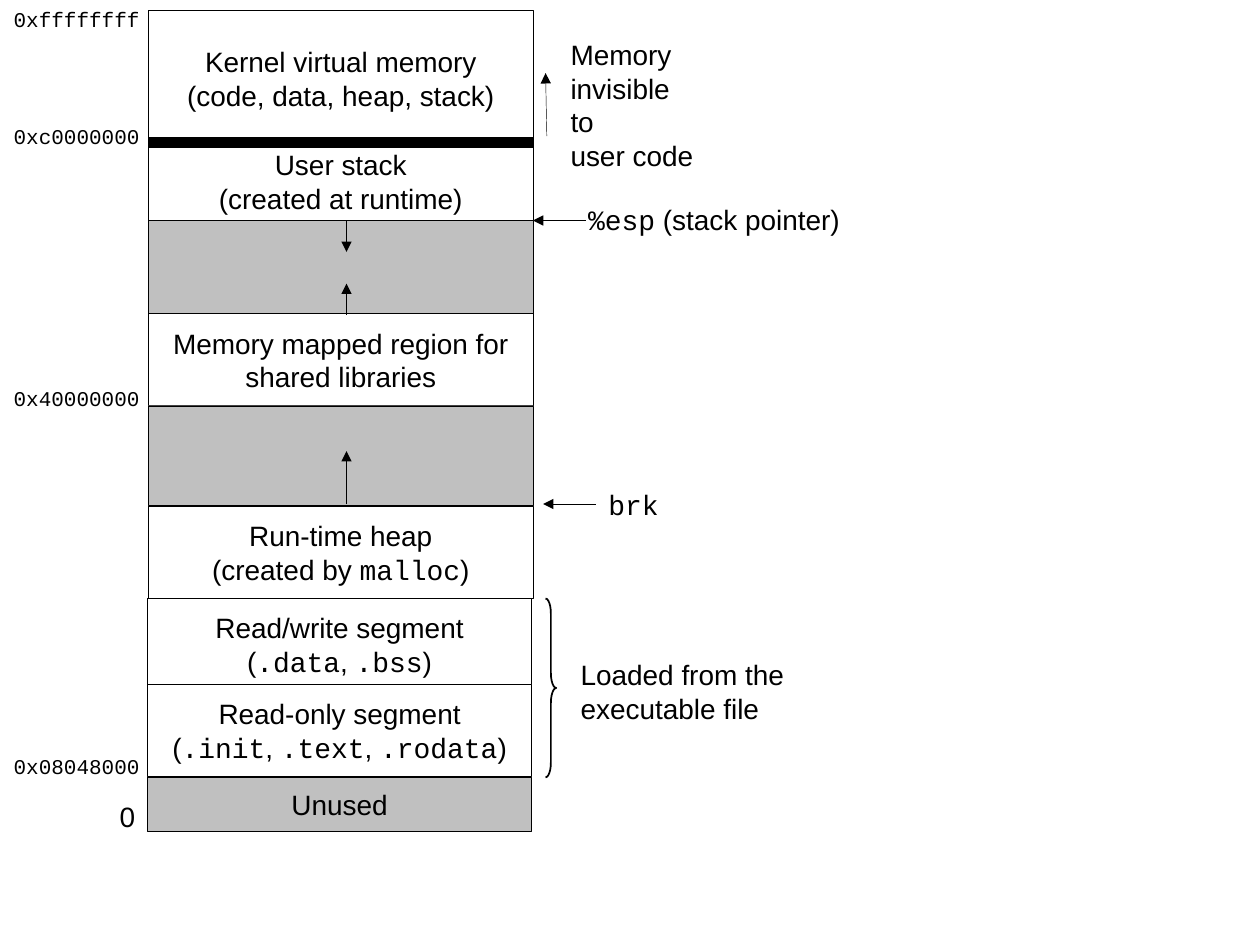
from dataclasses import dataclass

from lxml.etree import SubElement
from pptx import Presentation
from pptx.dml.color import RGBColor as Color
from pptx.enum.shapes import MSO_CONNECTOR as Connector, MSO_SHAPE as Shape
from pptx.enum.text import MSO_ANCHOR as Anchor, MSO_AUTO_SIZE as AutoSize, PP_ALIGN as Align
from pptx.oxml.ns import qn
from pptx.util import Inches, Pt

# The page is a grid of 100 columns by 75 rows
PAGE_WIDTH, PAGE_HEIGHT = Inches(10), Inches(7.5)
COLUMN, ROW = PAGE_WIDTH / 100, PAGE_HEIGHT / 75


@dataclass(frozen=True)
class Theme:
    ink: Color = Color(0, 0, 0)
    used: Color = Color(0xFF, 0xFF, 0xFF)
    free: Color = Color(0xC0, 0xC0, 0xC0)
    text_font: str = "Arial"
    code_font: str = "Courier New"
    body: float = 16
    address: float = 12
    hairline: float = 0.25
    brace: float = 1
    divider: float = 6


THEME = Theme()


@dataclass(frozen=True)
class Box:
    left: float
    top: float
    width: float
    height: float

    def inner(self, left, top, width, height):
        return Box(self.left + left, self.top + top, width, height)

    def point(self, column, row):
        return round((self.left + column) * COLUMN), round((self.top + row) * ROW)

    def place(self):
        size = round(self.width * COLUMN), round(self.height * ROW)
        return *self.point(0, 0), *size


def write(frame, lines, size=THEME.body, align=Align.LEFT):
    """Write one paragraph per line; backticks enclose code."""
    frame.word_wrap = False
    for number, line in enumerate(lines):
        para = frame.paragraphs[0] if number == 0 else frame.add_paragraph()
        para.alignment = align
        for index, words in enumerate(line.split("`")):
            if words:
                span = para.add_run()
                span.text = words
                span.font.name = THEME.code_font if index % 2 else THEME.text_font
                span.font.size = Pt(size)
                span.font.color.rgb = THEME.ink


def add_label(page, box, lines, size=THEME.body):
    frame = page.shapes.add_textbox(*box.place()).text_frame
    write(frame, lines, size)
    frame.auto_size = AutoSize.SHAPE_TO_FIT_TEXT


def add_segment(page, box, fill, lines):
    segment = page.shapes.add_shape(Shape.RECTANGLE, *box.place())
    segment.shadow.inherit = False
    segment.fill.solid()
    segment.fill.fore_color.rgb = fill
    segment.line.color.rgb = THEME.ink
    segment.line.width = Pt(THEME.hairline)
    segment.text_frame.vertical_anchor = Anchor.MIDDLE
    write(segment.text_frame, lines, align=Align.CENTER)


def add_line(page, start, end, width=THEME.hairline, arrow=True):
    line = page.shapes.add_connector(Connector.STRAIGHT, *start, *end)
    line.line.color.rgb = THEME.ink
    line.line.width = Pt(width)
    properties = line._element.spPr
    if arrow:
        SubElement(properties.find(qn("a:ln")), qn("a:tailEnd"), type="triangle")
    SubElement(properties, qn("a:effectLst"))


def draw_memory(page, box):
    # Segments: left, top, height, fill, text
    segments = [
        (0, 0, 10.8, THEME.used, ["Kernel virtual memory", "(code, data, heap, stack)"]),
        (0, 14.2, 9.9, THEME.free, []),
        (0, 10.5, 6.2, THEME.used, ["User stack", "(created at runtime)"]),
        (0, 24.1, 7.3, THEME.used, ["Memory mapped region for", "shared libraries"]),
        (0, 31.4, 7.9, THEME.free, []),
        (0, 39.4, 7.3, THEME.used, ["Run-time heap", "(created by `malloc`)"]),
        (-0.1, 46.7, 7.3, THEME.used, ["Read/write segment", "(`.data`, `.bss`)"]),
        (-0.1, 53.5, 7.3, THEME.used,
         ["Read-only segment", "(`.init`, `.text`, `.rodata`)"]),
        (-0.1, 60.9, 4.3, THEME.free, ["Unused"]),
    ]
    for left, top, height, fill, lines in segments:
        add_segment(page, box.inner(left, top, box.width, height), fill, lines)

    # Directions of growth
    for start, end in [(16.7, 19.2), (24.2, 21.7), (39.2, 35)]:
        add_line(page, box.point(15.7, start), box.point(15.7, end))

    # Border between kernel and user space
    add_line(page, box.point(0, 10.5), box.point(box.width, 10.5), THEME.divider, arrow=False)


def draw_addresses(page, box):
    addresses = [(0, "0xffffffff"), (9.3, "0xc0000000"),
                 (30.1, "0x40000000"), (59.3, "0x08048000")]
    for top, address in addresses:
        add_label(page, box.inner(0, top, box.width, 3), [f"`{address}`"], THEME.address)
    add_label(page, box.inner(8.4, 63, 3.2, 3.7), ["0"])


def draw_notes(page, box):
    # Remarks beside the segments
    add_label(page, box.inner(2, 2.5, 12.3, 9), ["Memory", "invisible to", "user code"])
    add_label(page, box.inner(3.4, 15.6, 22, 3.7), ["`%esp` (stack pointer)"])
    add_label(page, box.inner(5, 38.2, 6, 3.7), ["`brk`"])
    add_label(page, box.inner(2.8, 51.7, 18.7, 6.4), ["Loaded from the", "executable file"])

    # Pointers
    for start, end in [((1.1, 10.8), (1, 5.8)), ((4.2, 17.5), (0, 17.5)),
                       ((5, 40), (0.8, 40))]:
        add_line(page, box.point(*start), box.point(*end))

    # Brace around the loaded segments
    brace = page.shapes.add_shape(Shape.RIGHT_BRACE, *box.inner(1, 47.5, 0.85, 14.2).place())
    brace.adjustments[0] = 1.4
    brace.shadow.inherit = False
    brace.fill.background()
    brace.line.color.rgb = THEME.ink
    brace.line.width = Pt(THEME.brace)


def main():
    deck = Presentation()
    deck.slide_width, deck.slide_height = PAGE_WIDTH, PAGE_HEIGHT
    page = deck.slides.add_slide(deck.slide_layouts[6])
    draw_memory(page, Box(11.8, 0.8, 30.5, 65.2))
    draw_addresses(page, Box(0.1, 0, 12, 66.7))
    draw_notes(page, Box(42.3, 0, 57.7, 75))
    deck.save("out.pptx")


if __name__ == "__main__":
    main()
